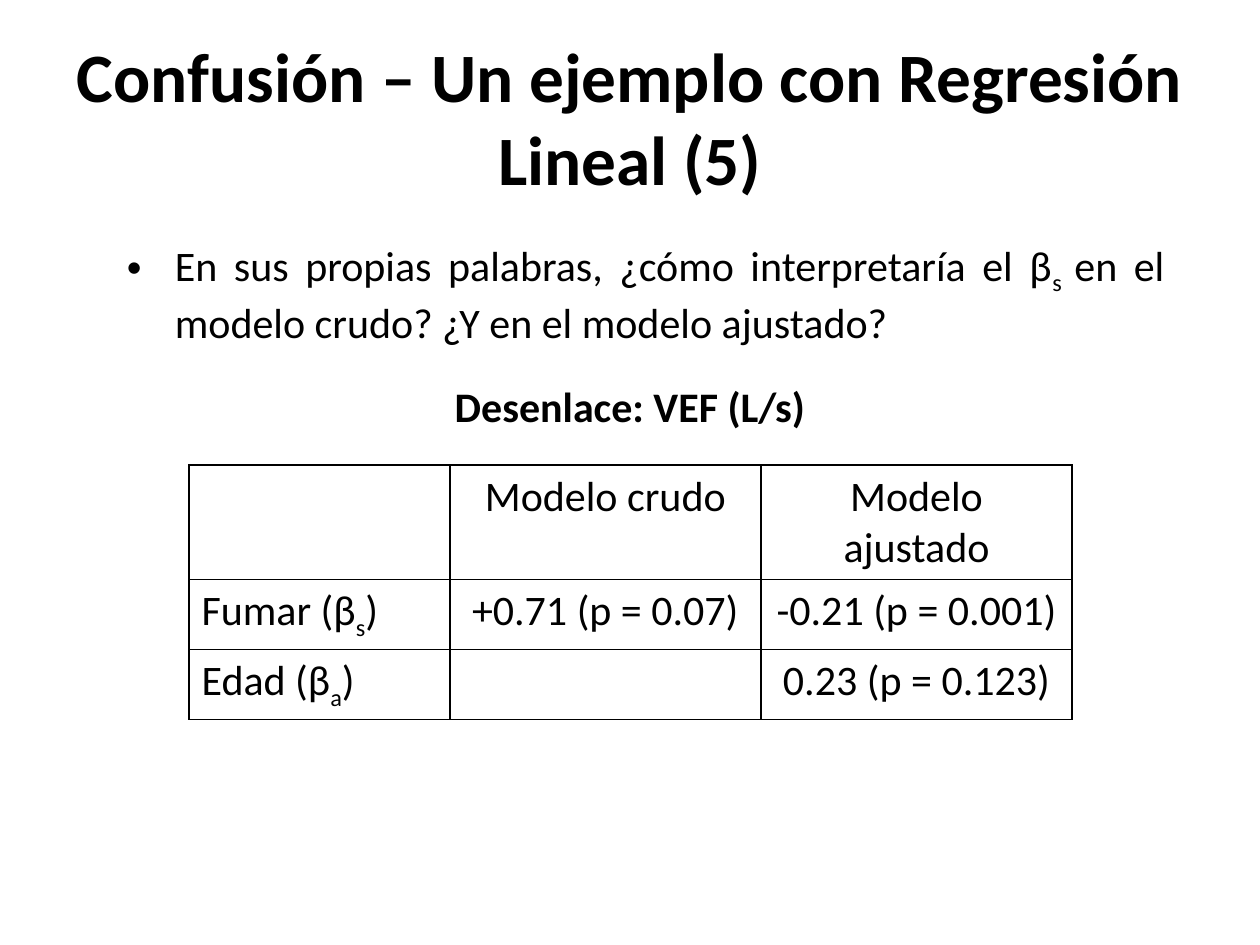
from lxml import etree
from pptx import Presentation
from pptx.dml.color import RGBColor
from pptx.enum.text import MSO_ANCHOR, PP_ALIGN
from pptx.oxml.ns import qn
from pptx.util import Inches, Pt

BLACK = RGBColor(0x00, 0x00, 0x00)
FONT = "Calibri"
LEFT, CENTER, JUSTIFY = PP_ALIGN.LEFT, PP_ALIGN.CENTER, PP_ALIGN.JUSTIFY
TOP, MIDDLE = MSO_ANCHOR.TOP, MSO_ANCHOR.MIDDLE
BLANK_LAYOUT = 6
SUBSCRIPT = "-25000"

COLUMN_WIDTHS = (2.07, 2.47, 2.47)
ROW_HEIGHTS = (0.91, 0.55, 0.55)
# Every second piece of a text is a subscript.
MODEL_ROWS = (
    ((), ("Modelo crudo",), ("Modelo ajustado",)),
    (("Fumar (β", "s", ")"), ("+0.71 (p = 0.07)",), ("-0.21 (p = 0.001)",)),
    (("Edad (β", "a", ")"), (), ("0.23 (p = 0.123)",)),
)


def write_pieces(paragraph, pieces, align, size=24, bold=False):
    """Write the pieces as runs, setting every second one as a subscript."""
    paragraph.alignment = align
    font_format = {"name": FONT, "size": Pt(size), "bold": bold}
    for index, piece in enumerate(pieces):
        run = paragraph.add_run()
        run.text = piece
        for attribute, value in font_format.items():
            setattr(run.font, attribute, value)
        run.font.color.rgb = BLACK
        if index % 2:
            run.font._element.set("baseline", SUBSCRIPT)


def add_text(slide, box, pieces, align, anchor=TOP, **font_format):
    frame = slide.shapes.add_textbox(*map(Inches, box)).text_frame
    frame.word_wrap = True
    frame.vertical_anchor = anchor
    paragraph = frame.paragraphs[0]
    write_pieces(paragraph, pieces, align, **font_format)
    return paragraph


def add_bullet(paragraph, indent):
    paragraph.space_before = paragraph.space_after = Pt(6)
    properties = paragraph._p.get_or_add_pPr()
    properties.set("marL", str(Inches(indent)))
    properties.set("indent", str(-Inches(indent)))
    etree.SubElement(properties, qn("a:buFont"), typeface="Arial")
    etree.SubElement(properties, qn("a:buChar"), char="•")


def outline_cell(cell):
    properties = cell._tc.get_or_add_tcPr()
    for position, side in enumerate(("a:lnL", "a:lnR", "a:lnT", "a:lnB")):
        line = etree.Element(qn(side), w=str(Pt(1)))
        fill = etree.SubElement(line, qn("a:solidFill"))
        etree.SubElement(fill, qn("a:srgbClr"), val=str(BLACK))
        properties.insert(position, line)


def add_model_table(slide, left, top):
    size = (sum(COLUMN_WIDTHS), sum(ROW_HEIGHTS))
    table = slide.shapes.add_table(
        len(ROW_HEIGHTS), len(COLUMN_WIDTHS), *map(Inches, (left, top, *size))
    ).table
    table.first_row = table.horz_banding = False
    for column, width in zip(table.columns, COLUMN_WIDTHS):
        column.width = Inches(width)
    for row, height, texts in zip(table.rows, ROW_HEIGHTS, MODEL_ROWS):
        row.height = Inches(height)
        for index, (cell, pieces) in enumerate(zip(row.cells, texts)):
            cell.fill.background()
            outline_cell(cell)
            write_pieces(cell.text_frame.paragraphs[0], pieces,
                         CENTER if index else LEFT)


def main():
    presentation = Presentation()
    presentation.slide_width, presentation.slide_height = Inches(10), Inches(7.5)
    slide = presentation.slides.add_slide(presentation.slide_layouts[BLANK_LAYOUT])

    add_text(slide, (0.5, 0.3, 9, 1.25),
             ("Confusión – Un ejemplo con Regresión Lineal (5)",),
             CENTER, anchor=MIDDLE, size=39.6, bold=True)
    add_model_table(slide, 1.5, 3.69)
    add_text(slide, (3.19, 2.97, 3.62, 0.5), ("Desenlace: VEF (L/s)",),
             CENTER, bold=True)
    question = add_text(
        slide, (0.91, 1.85, 8.43, 0.91),
        ("En sus propias palabras, ¿cómo interpretaría el β", "s ",
         "en el modelo crudo? ¿Y en el modelo ajustado?"), JUSTIFY)
    add_bullet(question, 0.38)

    presentation.save("out.pptx")


if __name__ == "__main__":
    main()
